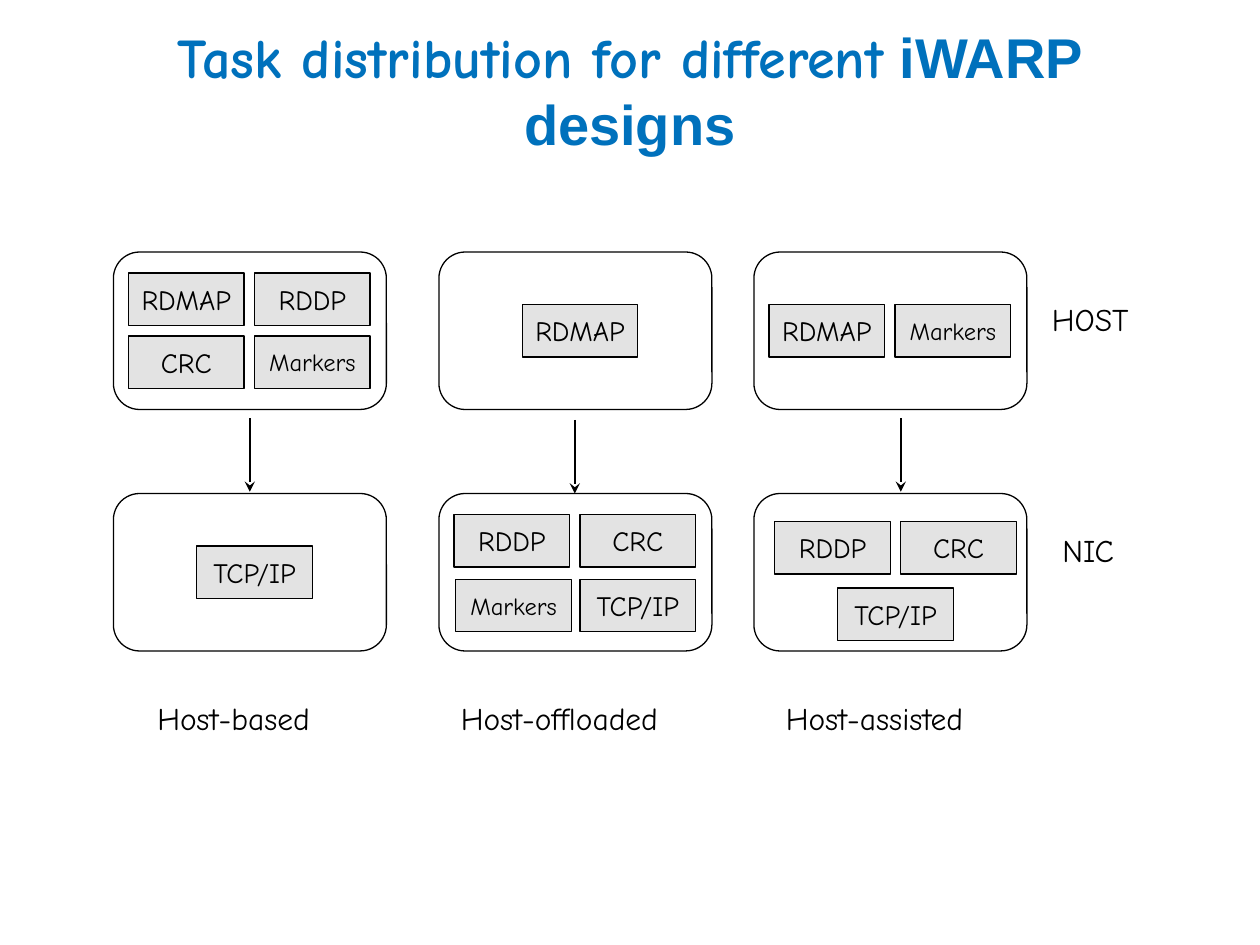
from lxml import etree
from pptx import Presentation
from pptx.dml import color
from pptx.enum import shapes, text
from pptx.oxml import ns
from pptx.util import Pt

FONT = "Comic Neue"
BOX_WIDTH, BOX_HEIGHT = 156, 90
TASK_WIDTH, TASK_HEIGHT = 66, 30
TASK_STEP = 72
HOST_TOP, NIC_TOP = 144, 282

DESIGNS = [
    {"name": "Host-based", "label": (82.8, 111.6), "left": 64.8, "arrow": (142.8, 239),
     "rows": [(73.5, 156, ["RDMAP", "RDDP"]), (73.5, 192, ["CRC", "Markers"]),
              (112.5, 312, ["TCP/IP"])]},
    {"name": "Host-offloaded", "label": (256.3, 144.7), "left": 250.8, "arrow": (328.5, 240),
     "rows": [(298.5, 174, ["RDMAP"]), (259.5, 294, ["RDDP", "CRC"]),
              (260.5, 331, ["Markers"]), (331.5, 331, ["TCP/IP"])]},
    {"name": "Host-assisted", "label": (442, 131.8), "left": 430.8, "arrow": (514.8, 239),
     "rows": [(439.5, 174, ["RDMAP", "Markers"]), (442.8, 298, ["RDDP", "CRC"]),
              (478.8, 336, ["TCP/IP"])]},
]


def rgb(value):
    return color.RGBColor.from_string(value)


def write(paragraph, content, size=18, font=FONT, fill="000000", bold=False, align="LEFT"):
    paragraph.alignment = text.PP_ALIGN[align]
    run = paragraph.add_run()
    run.text = content
    run.font.size = Pt(size)
    run.font.name = font
    run.font.bold = bold
    run.font.color.rgb = rgb(fill)


def add_title(slide):
    title = slide.shapes.title
    title.left, title.top, title.width, title.height = Pt(36), Pt(12), Pt(648), Pt(78)
    frame = title.text_frame
    frame.word_wrap = True
    frame.auto_size = text.MSO_AUTO_SIZE.NONE
    frame.vertical_anchor = text.MSO_ANCHOR.MIDDLE
    for content, font in [("Task distribution for different", FONT), (" iWARP designs", "Arial")]:
        write(frame.paragraphs[0], content, size=32, font=font, fill="0071BC", bold=True,
              align="CENTER")


def add_outline(slide, kind, left, top, width, height):
    shape = slide.shapes.add_shape(kind, Pt(left), Pt(top), Pt(width), Pt(height))
    shape.shadow.inherit = False
    shape.fill.background()
    shape.line.color.rgb = rgb("000000")
    shape.line.width = Pt(0.75)
    return shape


def add_task(slide, name, left, top):
    shape = add_outline(slide, shapes.MSO_SHAPE.RECTANGLE, left, top, TASK_WIDTH, TASK_HEIGHT)
    shape.fill.solid()
    shape.fill.fore_color.rgb = rgb("E3E3E3")
    frame = shape.text_frame
    frame.word_wrap = False
    frame.vertical_anchor = text.MSO_ANCHOR.MIDDLE
    write(frame.paragraphs[0], name, size=14 if name == "Markers" else 16, align="CENTER")


def add_label(slide, content, left, top, width):
    label = slide.shapes.add_textbox(Pt(left), Pt(top), Pt(width), Pt(29))
    label.text_frame.word_wrap = False
    label.text_frame.auto_size = text.MSO_AUTO_SIZE.SHAPE_TO_FIT_TEXT
    write(label.text_frame.paragraphs[0], content)


def add_arrow(slide, left, top):
    arrow = slide.shapes.add_connector(
        shapes.MSO_CONNECTOR.STRAIGHT, Pt(left), Pt(top), Pt(left), Pt(top + 42))
    arrow.line.color.rgb = rgb("000000")
    arrow.line.width = Pt(1.5)
    etree.SubElement(arrow.line._get_or_add_ln(), ns.qn("a:tailEnd"), type="stealth")
    etree.SubElement(arrow._element.spPr, ns.qn("a:effectLst"))


def add_design(slide, design):
    for top in (HOST_TOP, NIC_TOP):
        add_outline(slide, shapes.MSO_SHAPE.ROUNDED_RECTANGLE, design["left"], top,
                    BOX_WIDTH, BOX_HEIGHT)
    for left, top, names in design["rows"]:
        for column, name in enumerate(names):
            add_task(slide, name, left + column * TASK_STEP, top)
    add_arrow(slide, *design["arrow"])
    left, width = design["label"]
    add_label(slide, design["name"], left, 396, width)


def main():
    presentation = Presentation()
    presentation.slide_width, presentation.slide_height = Pt(720), Pt(540)
    slide = presentation.slides.add_slide(presentation.slide_layouts[5])
    add_title(slide)
    for design in DESIGNS:
        add_design(slide, design)
    add_label(slide, "HOST", 594, 168, 67.7)
    add_label(slide, "NIC", 600, 300, 49.7)
    presentation.save("out.pptx")


if __name__ == "__main__":
    main()
